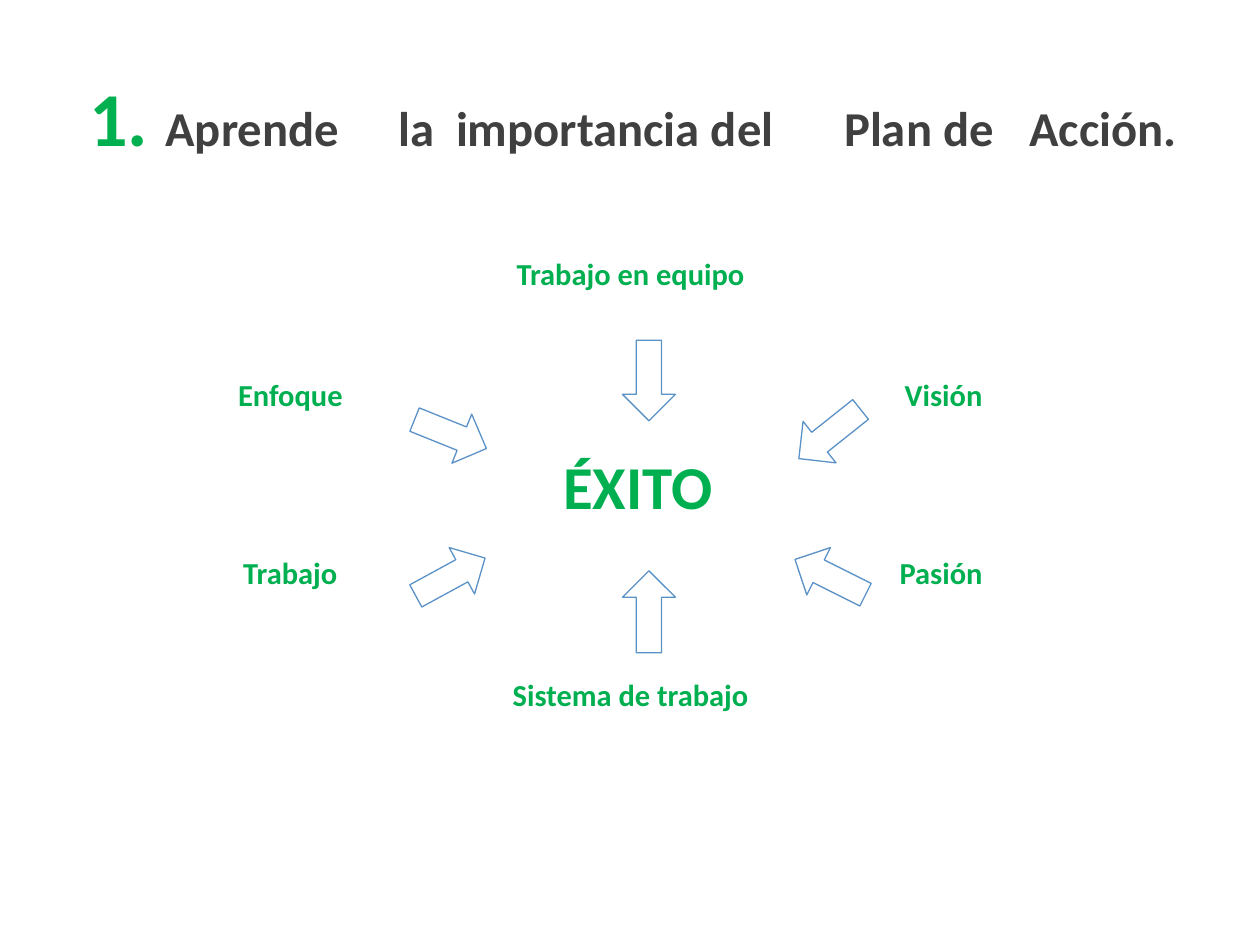
from math import hypot

from pptx import Presentation
from pptx.dml.color import RGBColor
from pptx.util import Inches, Pt

GREEN = RGBColor(0x00, 0xB0, 0x50)
GRAY = RGBColor(0x3F, 0x40, 0x3F)
BLUE = RGBColor(0x5A, 0x91, 0xC7)

SHAFT_HALF, HEAD_HALF, HEAD_LENGTH = 0.1, 0.21, 0.21

TITLE_WORDS = [
    ("la", 3.15, 0.42),
    ("importancia del", 3.61, 3),
    ("Plan de", 6.69, 1.46),
    ("Acción.", 8.16, 1.44),
]
ARROWS = [  # tail, tip
    ((5.15, 2.7), (5.15, 3.34)),
    ((5.15, 5.18), (5.15, 4.53)),
    ((3.29, 3.33), (3.86, 3.56)),
    ((6.83, 3.25), (6.34, 3.64)),
    ((6.87, 4.72), (6.31, 4.44)),
    ((3.3, 4.73), (3.85, 4.43)),
]
FACTORS = [
    ("Trabajo en equipo", 4.09, 2.06, 2.17),
    ("Enfoque", 1.88, 3.02, 1.03),
    ("Visión", 7.17, 3.02, 0.78),
    ("Trabajo", 1.92, 4.43, 0.95),
    ("Pasión", 7.13, 4.43, 0.83),
    ("Sistema de trabajo", 4.06, 5.4, 2.23),
]


class SlideBuilder:
    font_name = "Calibri"

    def __init__(self, page):
        self.page = page

    def text(self, spans, left, top, width, height, line_height):
        """Add a one-line box; each span is (text, size, color, raise in percent)."""
        box = self.page.shapes.add_textbox(
            Inches(left), Inches(top), Inches(width), Inches(height))
        frame = box.text_frame
        frame_format = {"word_wrap": True, "margin_left": 0, "margin_top": 0,
                        "margin_right": 0, "margin_bottom": 0}
        for name, value in frame_format.items():
            setattr(frame, name, value)
        para = frame.paragraphs[0]
        para.line_spacing = Pt(line_height)
        para._p.get_or_add_pPr().set("marL", str(Inches(0.01)))
        for words, size, color, raised in spans:
            span = para.add_run()
            span.text = words
            font_format = {"name": self.font_name, "size": Pt(size), "bold": True}
            for name, value in font_format.items():
                setattr(span.font, name, value)
            span.font.color.rgb = color
            span._r.get_or_add_rPr().set("baseline", str(raised * 1000))

    def arrow(self, tail, tip):
        """Outline a block arrow pointing from tail to tip."""
        length = hypot(tip[0] - tail[0], tip[1] - tail[1])
        along_x = (tip[0] - tail[0]) / length
        along_y = (tip[1] - tail[1]) / length
        neck = length - HEAD_LENGTH
        outline = [(0, SHAFT_HALF), (neck, SHAFT_HALF), (neck, HEAD_HALF),
                   (length, 0), (neck, -HEAD_HALF), (neck, -SHAFT_HALF),
                   (0, -SHAFT_HALF)]
        points = [(Inches(tail[0] + along * along_x - side * along_y),
                   Inches(tail[1] + along * along_y + side * along_x))
                  for along, side in outline]
        builder = self.page.shapes.build_freeform(*points[0])
        builder.add_line_segments(points[1:], close=True)
        shape = builder.convert_to_shape()
        shape.shadow.inherit = False
        shape.fill.background()
        shape.line.color.rgb = BLUE
        shape.line.width = Pt(0.75)


def main():
    deck = Presentation()
    deck.slide_width, deck.slide_height = Inches(10), Inches(7.5)
    slide = SlideBuilder(deck.slides.add_slide(deck.slide_layouts[6]))

    slide.text([("1. ", 75, GREEN, 2), ("Aprende", 48, GRAY, 3)],
               0.7, 0.67, 2.59, 0.72, 52)
    for words, left, width in TITLE_WORDS:
        slide.text([(words, 48, GRAY, 2)], left, 0.84, width, 0.47, 34)

    for tail, tip in ARROWS:
        slide.arrow(tail, tip)
    for words, left, top, width in FACTORS:
        slide.text([(words, 30, GREEN, 3)], left, top, width, 0.31, 21.9)
    slide.text([("ÉXITO", 60, GREEN, 2)], 4.46, 3.64, 1.49, 0.58, 42)

    deck.save("out.pptx")


if __name__ == "__main__":
    main()
